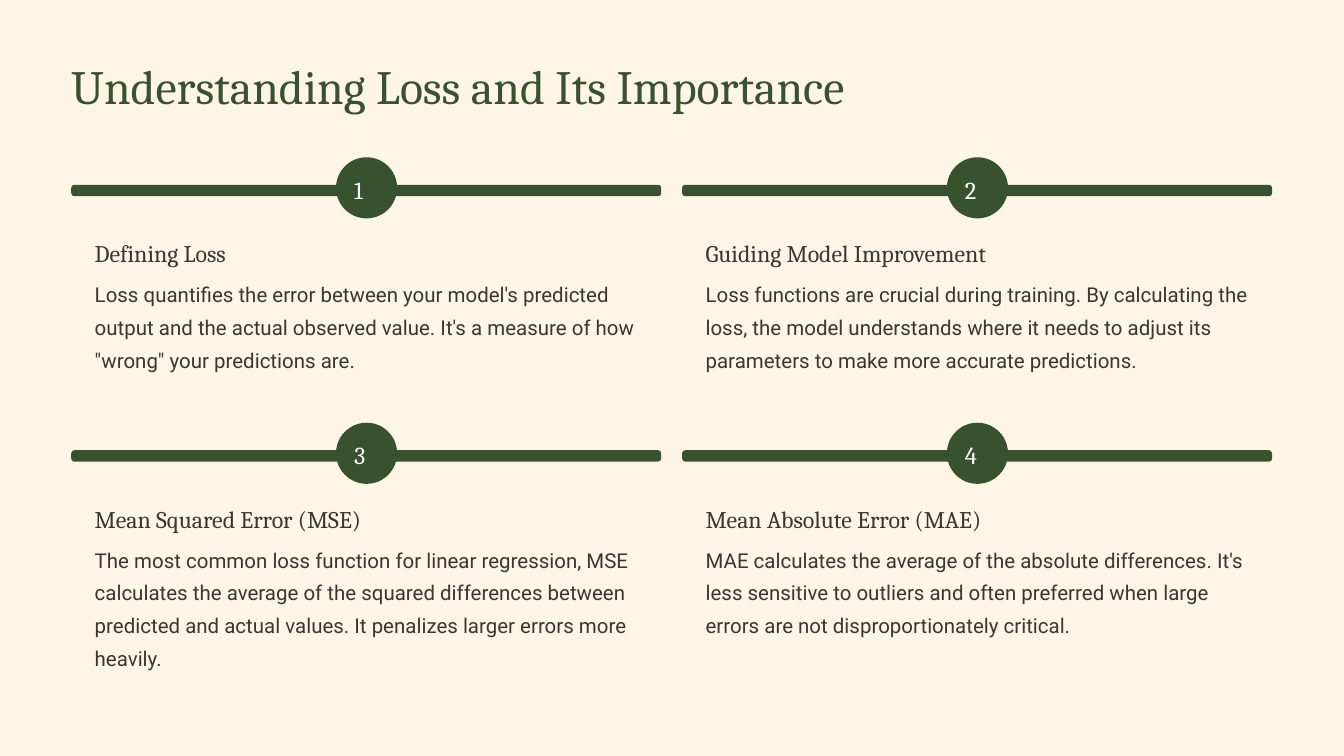
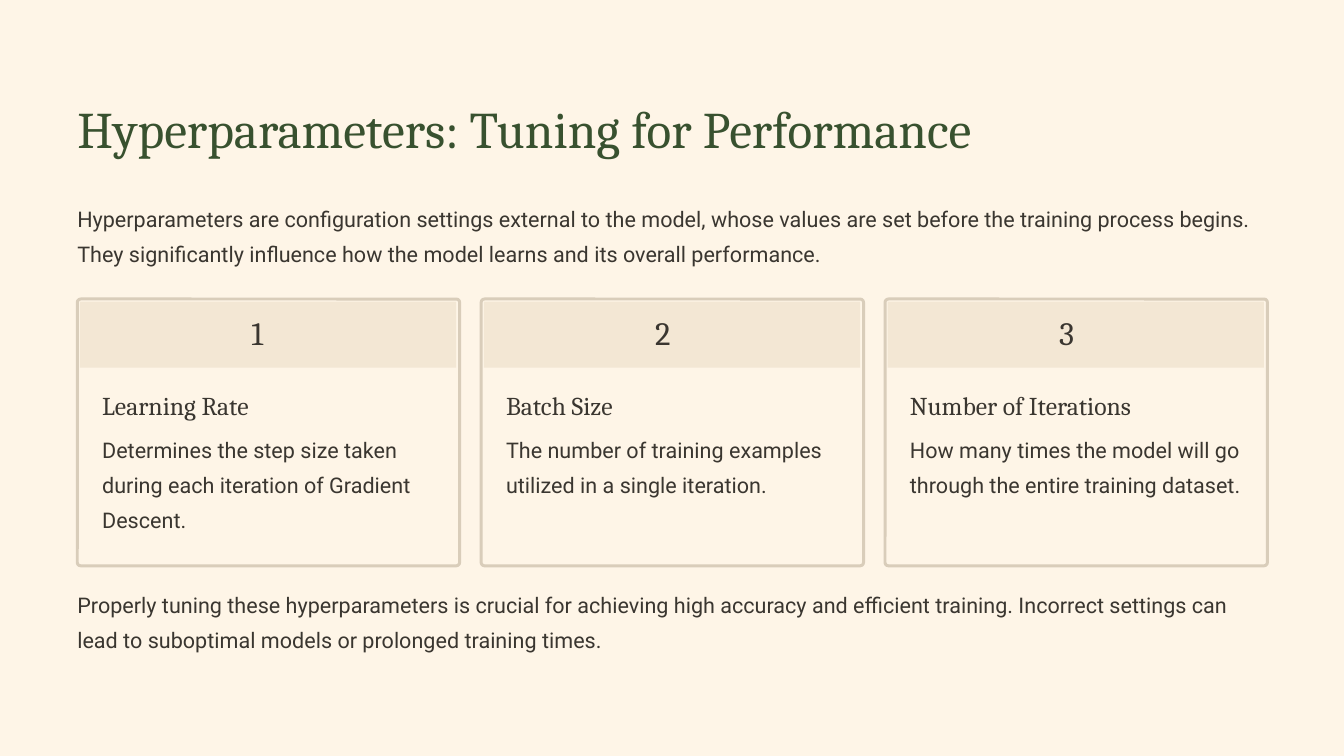
import dataclasses

import pptx
import pptx.dml.color
import pptx.enum.shapes
import pptx.enum.text
import pptx.util

Inches = pptx.util.Inches
Shapes = pptx.enum.shapes.MSO_SHAPE


@dataclasses.dataclass(frozen=True)
class Theme:
    cream: str = "FEF5E7"
    green: str = "38512F"
    ink: str = "3A3630"
    white: str = "FFFFFF"
    sand: str = "F3E7D4"
    border: str = "D9CDBA"
    serif: str = "Cambria"
    sans: str = "Roboto"
    loss_title: float = 51.2
    loss_number: float = 26.2
    loss_heading: float = 25.6
    loss_body: float = 21.9
    tuning_title: float = 55
    tuning_number: float = 35
    tuning_heading: float = 27.5
    tuning_body: float = 23.1


theme = Theme()


def add_text(slide, text, *, at, size, leading, font=theme.serif, color=theme.ink):
    frame = slide.shapes.add_textbox(*map(Inches, at)).text_frame
    frame.margin_left = frame.margin_right = frame.margin_top = frame.margin_bottom = 0
    frame.word_wrap = True
    frame.auto_size = pptx.enum.text.MSO_AUTO_SIZE.SHAPE_TO_FIT_TEXT
    paragraph = frame.paragraphs[0]
    paragraph.line_spacing = pptx.util.Pt(leading)
    run = paragraph.add_run()
    run.text = text
    run.font.name = font
    run.font.size = pptx.util.Pt(size)
    run.font.color.rgb = pptx.dml.color.RGBColor.from_string(color)


def add_block(slide, kind, at, fill, radius=None, outline=None):
    block = slide.shapes.add_shape(kind, *map(Inches, at))
    block.shadow.inherit = False
    block.fill.solid()
    block.fill.fore_color.rgb = pptx.dml.color.RGBColor.from_string(fill)
    if radius:
        block.adjustments[0] = radius / min(at[2:])
    if outline:
        block.line.color.rgb = pptx.dml.color.RGBColor.from_string(outline)
        block.line.width = pptx.util.Pt(3.2)
    else:
        block.line.fill.background()


deck = pptx.Presentation()
deck.slide_width = Inches(20)
deck.slide_height = Inches(11.25)
backdrop = deck.slide_master.background.fill
backdrop.solid()
backdrop.fore_color.rgb = pptx.dml.color.RGBColor.from_string(theme.cream)
blank = deck.slide_layouts[6]

loss = deck.slides.add_slide(blank)
add_text(loss, "Understanding Loss and Its Importance", at=(1.06, 0.81, 13.15, 0.91),
         size=theme.loss_title, leading=63.7, color=theme.green)

loss_topics = [
    ("Defining Loss", 3.58, 3,
     "Loss quantifies the error between your model's predicted output and the actual "
     "observed value. It's a measure of how \"wrong\" your predictions are."),
    ("Guiding Model Improvement", 4.79, 3,
     "Loss functions are crucial during training. By calculating the loss, the model "
     "understands where it needs to adjust its parameters to make more accurate predictions."),
    ("Mean Squared Error (MSE)", 4.43, 4,
     "The most common loss function for linear regression, MSE calculates the average of the "
     "squared differences between predicted and actual values. It penalizes larger errors "
     "more heavily."),
    ("Mean Absolute Error (MAE)", 4.54, 3,
     "MAE calculates the average of the absolute differences. It's less sensitive to outliers "
     "and often preferred when large errors are not disproportionately critical."),
]
for index, (heading, heading_width, lines, body) in enumerate(loss_topics):
    row, column = divmod(index, 2)
    left = 1.06 + 9.09 * column
    top = 2.34 + 3.95 * row
    add_block(loss, Shapes.ROUNDED_RECTANGLE, (left, top + 0.41, 8.78, 0.17), theme.green, radius=0.05)
    add_block(loss, Shapes.OVAL, (left + 3.94, top, 0.91, 0.91), theme.green)
    add_text(loss, str(index + 1), at=(left + 4.21, top + 0.12, 0.36, 0.56),
             size=theme.loss_number, leading=41.9, color=theme.white)
    add_text(loss, heading, at=(left + 0.35, top + 1.2, heading_width, 0.46),
             size=theme.loss_heading, leading=31.9)
    add_text(loss, body, at=(left + 0.35, top + 1.74, 8.09, 0.1 + 0.49 * lines),
             size=theme.loss_body, leading=35, font=theme.sans)

tuning = deck.slides.add_slide(blank)
add_text(tuning, "Hyperparameters: Tuning for Performance", at=(1.15, 1.4, 15.27, 0.98),
         size=theme.tuning_title, leading=68.8, color=theme.green)

tuning_notes = [
    (2.93, "Hyperparameters are configuration settings external to the model, whose values are set "
           "before the training process begins. They significantly influence how the model learns "
           "and its overall performance."),
    (8.68, "Properly tuning these hyperparameters is crucial for achieving high accuracy and "
           "efficient training. Incorrect settings can lead to suboptimal models or prolonged "
           "training times."),
]
for top, note in tuning_notes:
    add_text(tuning, note, at=(1.15, top, 17.71, 1.15),
             size=theme.tuning_body, leading=37.5, font=theme.sans)

hyperparameters = [
    ("Learning Rate", 3, "Determines the step size taken during each iteration of Gradient Descent."),
    ("Batch Size", 2, "The number of training examples utilized in a single iteration."),
    ("Number of Iterations", 2, "How many times the model will go through the entire training dataset."),
]
for index, (heading, lines, body) in enumerate(hyperparameters):
    left = 1.15 + 6.01 * index
    add_block(tuning, Shapes.ROUNDED_RECTANGLE, (left, 4.45, 5.69, 3.97), theme.cream,
              radius=0.05, outline=theme.border)
    add_block(tuning, Shapes.RECTANGLE, (left + 0.04, 4.49, 5.6, 0.98), theme.sand)
    add_text(tuning, str(index + 1), at=(left + 2.59, 4.75, 0.49, 0.54),
             size=theme.tuning_number, leading=35)
    add_text(tuning, heading, at=(left + 0.37, 5.78, 3.85, 0.5),
             size=theme.tuning_heading, leading=34.4)
    add_text(tuning, body, at=(left + 0.37, 6.37, 4.95, 0.11 + 0.52 * lines),
             size=theme.tuning_body, leading=37.5, font=theme.sans)

deck.save("out.pptx")
